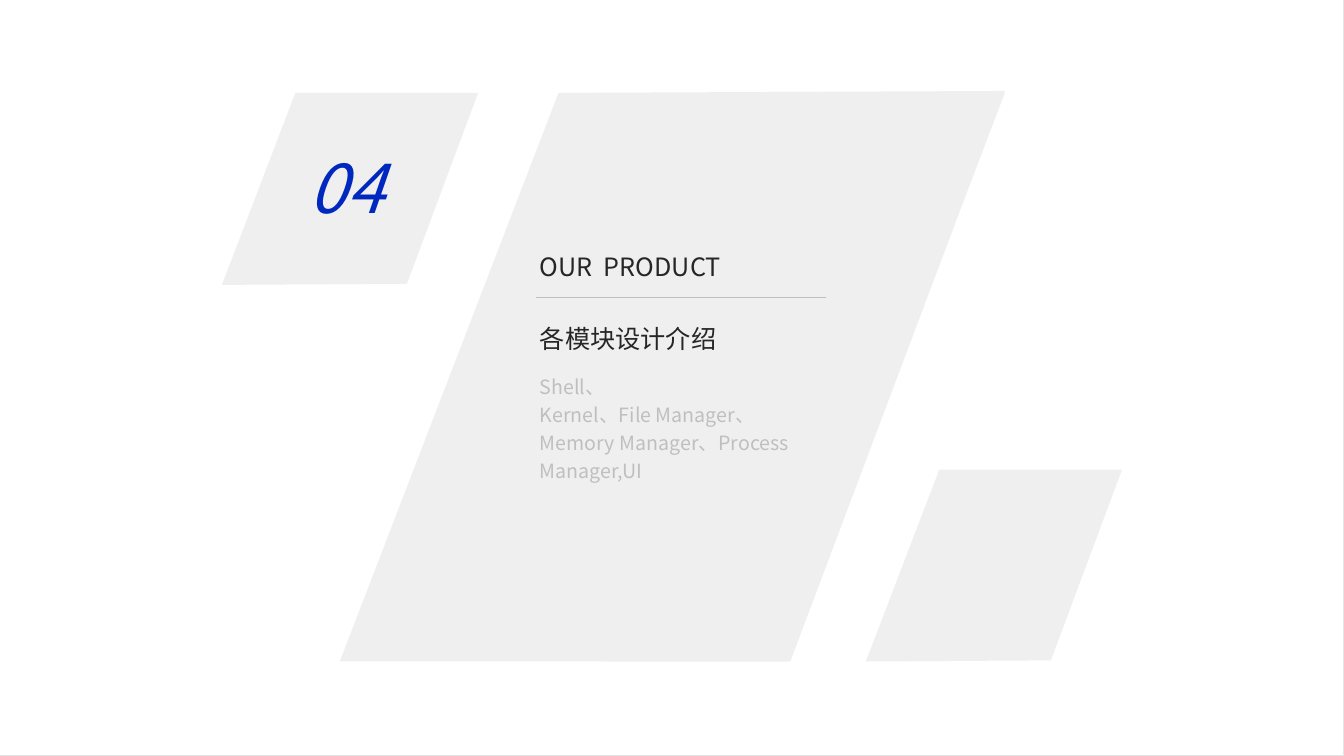
from lxml.etree import SubElement
from pptx import Presentation
from pptx.dml.color import RGBColor
from pptx.enum.shapes import MSO_CONNECTOR as Connector, MSO_SHAPE as Shape
from pptx.enum.text import MSO_ANCHOR as Anchor, MSO_AUTO_SIZE as AutoSize, PP_ALIGN as Align
from pptx.oxml.ns import qn
from pptx.util import Pt

FONT = "Noto Sans CJK SC"
BACKGROUND = RGBColor(0xE4, 0xE4, 0xE4)
WHITE = RGBColor(0xFF, 0xFF, 0xFF)
PANEL = RGBColor(0xEF, 0xEF, 0xEF)
INK = RGBColor(0x26, 0x26, 0x26)
MUTED = RGBColor(0xBF, 0xBF, 0xBF)
BLUE = RGBColor(0x00, 0x28, 0xBE)

SMALL_TILE = [(158.5, 203.5), (211, 66.4), (341.5, 66.4), (290.7, 202.7)]
TILE_SHIFT = (460, 269)
LARGE_PANEL = [(242.8, 472.4), (399, 66.4), (717.9, 65), (564.6, 472.4)]
PANEL_OVERLAY = [(430.6, 472.4), (587.5, 66.2), (717.8, 66.2), (562.3, 472.4)]


def paint(shape, color):
    shape.shadow.inherit = False
    shape.fill.solid()
    shape.fill.fore_color.rgb = color
    shape.line.fill.background()


def add_panel(page, corners, shift=(0, 0)):
    points = [(Pt(x + shift[0]), Pt(y + shift[1])) for x, y in corners]
    builder = page.shapes.build_freeform(*points[0], scale=1.0)
    builder.add_line_segments(points[1:], close=True)
    paint(builder.convert_to_shape(), PANEL)


def add_rule(page, left, right, top):
    rule = page.shapes.add_connector(Connector.STRAIGHT, Pt(left), Pt(top), Pt(right), Pt(top))
    rule.line.color.rgb = MUTED
    rule.line.width = Pt(0.5)
    SubElement(rule._element.spPr, qn("a:effectLst"))


def place(box, left, top, width, height):
    box.left, box.top, box.width, box.height = Pt(left), Pt(top), Pt(width), Pt(height)


def write(box, lines, size, color, align=Align.LEFT, spacing=1.0, gap=0, italic=False):
    frame = box.text_frame
    frame.word_wrap = True
    frame.auto_size = AutoSize.NONE
    frame.vertical_anchor = Anchor.TOP
    for index, line in enumerate(lines):
        para = frame.add_paragraph() if index else frame.paragraphs[0]
        para.alignment = align
        para.line_spacing = spacing
        para.space_before = Pt(gap if index else 0)
        span = para.add_run()
        span.text = line
        span.font.name = FONT
        span.font.size = Pt(size)
        span.font.italic = italic
        span.font.color.rgb = color
        SubElement(span.font._element, qn("a:ea")).set("typeface", FONT)


def add_text(page, area, lines, size, color, **style):
    box = page.shapes.add_textbox(*map(Pt, area))
    write(box, lines, size, color, **style)


def add_title(page, area, lines, size, color, **style):
    title = page.shapes.title
    page.shapes._spTree.append(title._element)
    place(title, *area)
    write(title, lines, size, color, **style)


def main():
    deck = Presentation()
    deck.slide_width, deck.slide_height = Pt(960), Pt(540)
    page = deck.slides.add_slide(deck.slide_layouts[5])
    page.background.fill.solid()
    page.background.fill.fore_color.rgb = BACKGROUND

    paint(page.shapes.add_shape(Shape.RECTANGLE, Pt(-0.7), Pt(-0.7), Pt(960), Pt(540)), WHITE)
    add_panel(page, SMALL_TILE)
    add_panel(page, SMALL_TILE, TILE_SHIFT)
    add_panel(page, LARGE_PANEL)
    add_panel(page, PANEL_OVERLAY)

    add_title(page, (378.4, 171.4, 219.6, 85.7), ["OUR  PRODUCT", "各模块设计介绍"],
              18, INK, spacing=1.2, gap=26)
    add_rule(page, 383, 590, 212.3)
    add_text(page, (378.4, 260.6, 211.7, 88.6),
             ["Shell、", "Kernel、File Manager、Memory Manager、Process Manager,UI"],
             14, MUTED, spacing=1.2)
    add_text(page, (203, 100.8, 88.6, 67.7), ["04"], 48, BLUE, align=Align.CENTER, italic=True)
    deck.save("out.pptx")


if __name__ == "__main__":
    main()
